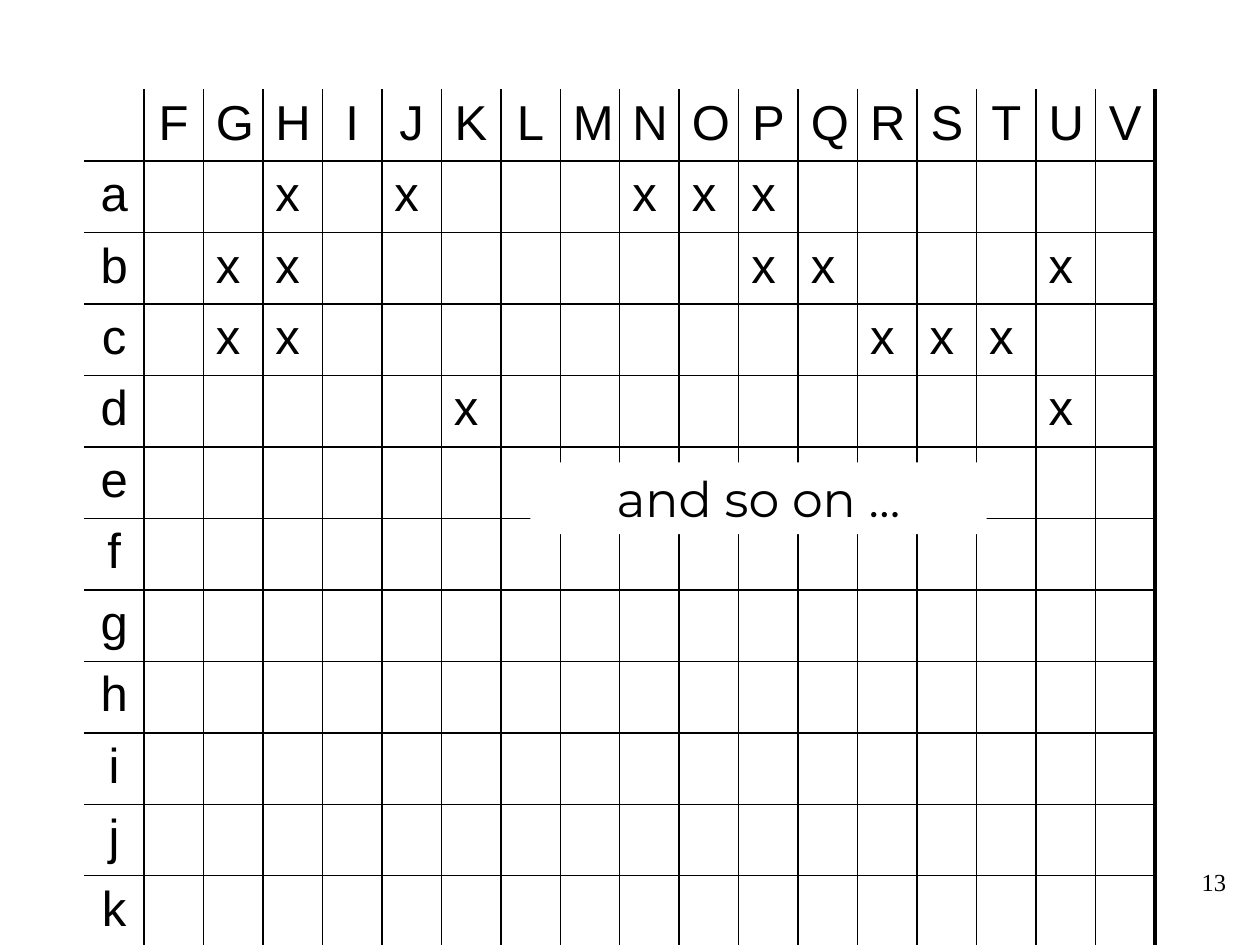
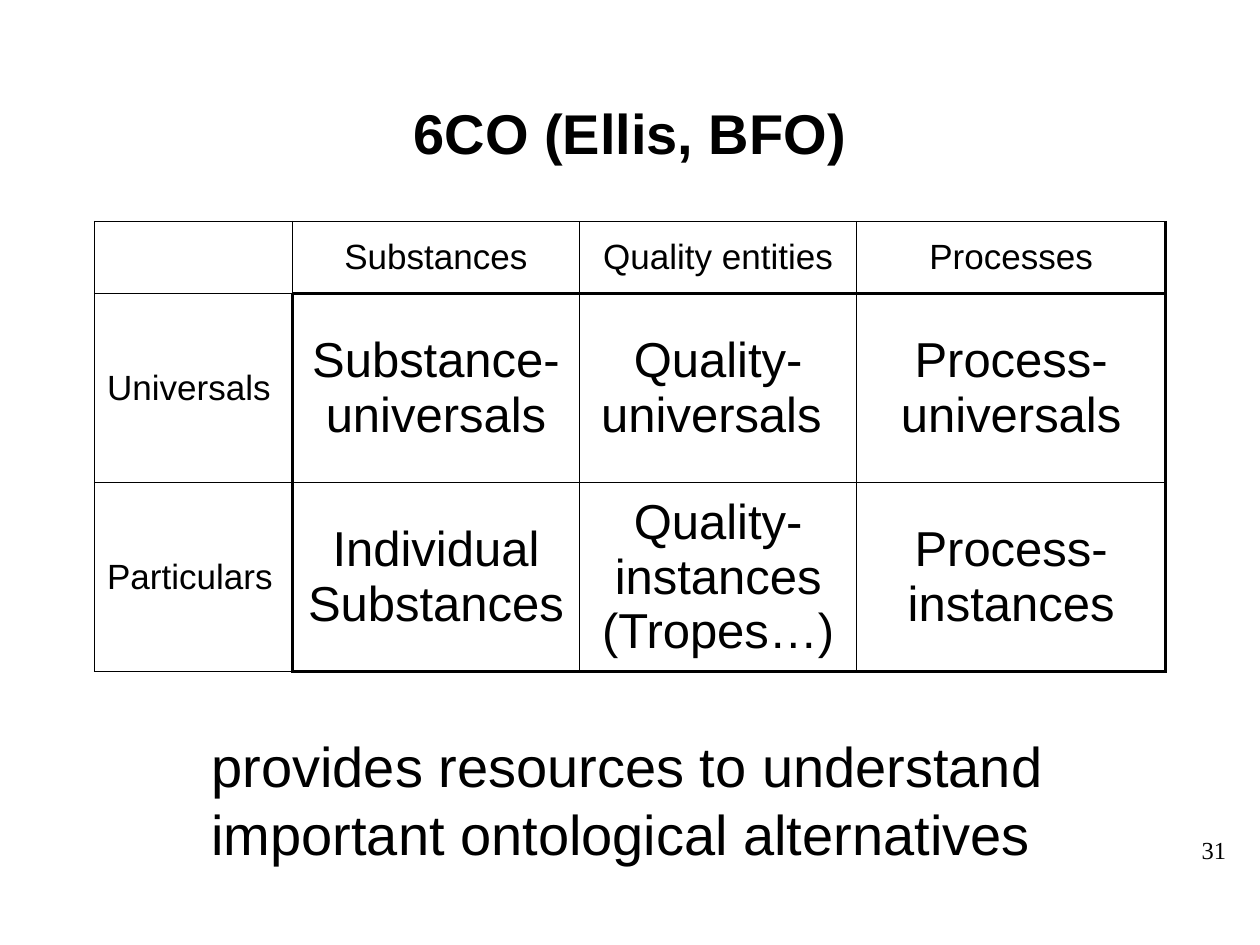
from lxml import etree
from pptx import Presentation
from pptx.dml.color import RGBColor
from pptx.enum.shapes import MSO_SHAPE
from pptx.enum.text import MSO_ANCHOR, PP_ALIGN
from pptx.oxml.ns import qn
from pptx.util import Inches, Pt

LEFT, CENTER, RIGHT = PP_ALIGN.LEFT, PP_ALIGN.CENTER, PP_ALIGN.RIGHT
TOP, MIDDLE = MSO_ANCHOR.TOP, MSO_ANCHOR.MIDDLE
RECTANGLE = MSO_SHAPE.RECTANGLE
COLORS = {"ink": "000000", "paper": "FFFFFF"}
BODY, NUMBER, NOTE = "Arial", "Times New Roman", "Montserrat"
THIN, THICK, NONE = 1, 2.25, 0
TABLE_WIDTH = 8.5

COLUMN_LETTERS = "FGHIJKLMNOPQRSTUV"
MARKS = {"a": "HJNOP", "b": "GHPQU", "c": "GHRST", "d": "KU"}
ROW_LETTERS = "abcdefghijk"
MATRIX_HEIGHT = 6.8
AND_SO_ON = "and so on …"

TITLE = "6CO (Ellis, BFO)"
CATEGORIES = [
    ["", "Substances", "Quality entities", "Processes"],
    ["Universals", "Substance-universals", "Quality-universals ", "Process-universals"],
    ["Particulars", "Individual Substances", "Quality-instances (Tropes…)",
     "Process-instances"],
]
CATEGORY_WIDTHS = [1.57, 2.28, 2.2, 2.45]
CATEGORY_HEIGHTS = [0.57, 1.5, 1.5]
CONCLUSION = "provides resources to understand important ontological alternatives"


def color(name):
    return RGBColor.from_string(COLORS[name])


def write(frame, text, size, font=BODY, align=LEFT, bold=False):
    frame.word_wrap = True
    para = frame.paragraphs[0]
    para.text = text
    para.alignment = align
    for target in [para] + list(para.runs):
        target.font.size = Pt(size)
        target.font.name = font
        target.font.bold = bold
        target.font.color.rgb = color("ink")


def add_text(page, place, text, size, anchor=TOP, **style):
    box = page.shapes.add_textbox(*map(Inches, place))
    box.text_frame.vertical_anchor = anchor
    write(box.text_frame, text, size, **style)


def add_page(deck, number, number_top):
    page = deck.slides.add_slide(deck.slide_layouts[6])
    page.background.fill.solid()
    page.background.fill.fore_color.rgb = color("paper")
    add_text(page, (7.75, number_top, 2.08, 0.5), number, 14, font=NUMBER, align=RIGHT)
    return page


def set_borders(cell, weights):
    properties = cell._tc.get_or_add_tcPr()
    for index, (side, weight) in enumerate(zip("LRTB", weights)):
        line = etree.Element(qn(f"a:ln{side}"), w=str(int(Pt(weight))))
        if weight:
            fill = etree.SubElement(line, qn("a:solidFill"))
            etree.SubElement(fill, qn("a:srgbClr"), val=COLORS["ink"])
        else:
            etree.SubElement(line, qn("a:noFill"))
        properties.insert(index, line)


def add_grid(page, left, top, widths, heights, rows, style, vertical, horizontal):
    frame = page.shapes.add_table(len(rows), len(widths), Inches(left), Inches(top),
                                  Inches(sum(widths)), Inches(sum(heights)))
    table = frame.table
    table.first_row = table.horz_banding = False
    for column, width in zip(table.columns, widths):
        column.width = Inches(width)
    for row, height in zip(table.rows, heights):
        row.height = Inches(height)
    for r, texts in enumerate(rows):
        for c, text in enumerate(texts):
            cell = table.cell(r, c)
            size, align, anchor = style(r, c)
            write(cell.text_frame, text, size, align=align)
            cell.vertical_anchor = anchor
            cell.fill.background()
            set_borders(cell, (vertical(r, c), vertical(r, c + 1),
                               horizontal(r, c), horizontal(r + 1, c)))


def matrix_page(deck):
    page = add_page(deck, "13", 6.83)
    rows = [["", *COLUMN_LETTERS]]
    for letter in ROW_LETTERS:
        marked = MARKS.get(letter, "")
        rows.append([letter] + ["x" if name in marked else "" for name in COLUMN_LETTERS])
    row_count, column_count = len(rows), len(rows[0])

    def style(r, c):
        return 28, LEFT if r and c else CENTER, TOP

    def weight(line, last):
        return NONE if line == 0 else THICK if line == last else THIN

    add_grid(page, 0.67, 0.71, [TABLE_WIDTH / column_count] * column_count,
             [MATRIX_HEIGHT / row_count] * row_count, rows, style,
             lambda r, line: weight(line, column_count),
             lambda line, c: weight(line, row_count))
    cover = page.shapes.add_shape(RECTANGLE, *map(Inches, (4.21, 3.67, 3.62, 0.57)))
    cover.shadow.inherit = False
    cover.fill.solid()
    cover.fill.fore_color.rgb = color("paper")
    cover.line.fill.background()
    cover.text_frame.vertical_anchor = TOP
    write(cover.text_frame, AND_SO_ON, 28, font=NOTE, align=CENTER)


def category_page(deck):
    page = add_page(deck, "31", 6.58)
    add_text(page, (0.75, 0.42, TABLE_WIDTH, 1.25), TITLE, 32, MIDDLE,
             align=CENTER, bold=True)

    def style(r, c):
        return 28 if r and c else 20, CENTER if c else LEFT, MIDDLE

    def vertical(r, line):
        return THICK if line == len(CATEGORY_WIDTHS) or (line == 1 and r) else THIN

    def horizontal(line, c):
        return THICK if c and line in (1, len(CATEGORY_HEIGHTS)) else THIN

    add_grid(page, 0.75, 1.76, CATEGORY_WIDTHS, CATEGORY_HEIGHTS, CATEGORIES,
             style, vertical, horizontal)
    add_text(page, (1.58, 5.76, 7.17, 1.18), CONCLUSION, 32)


def main():
    deck = Presentation()
    deck.slide_width, deck.slide_height = Inches(10), Inches(7.5)
    matrix_page(deck)
    category_page(deck)
    deck.save("out.pptx")


if __name__ == "__main__":
    main()
